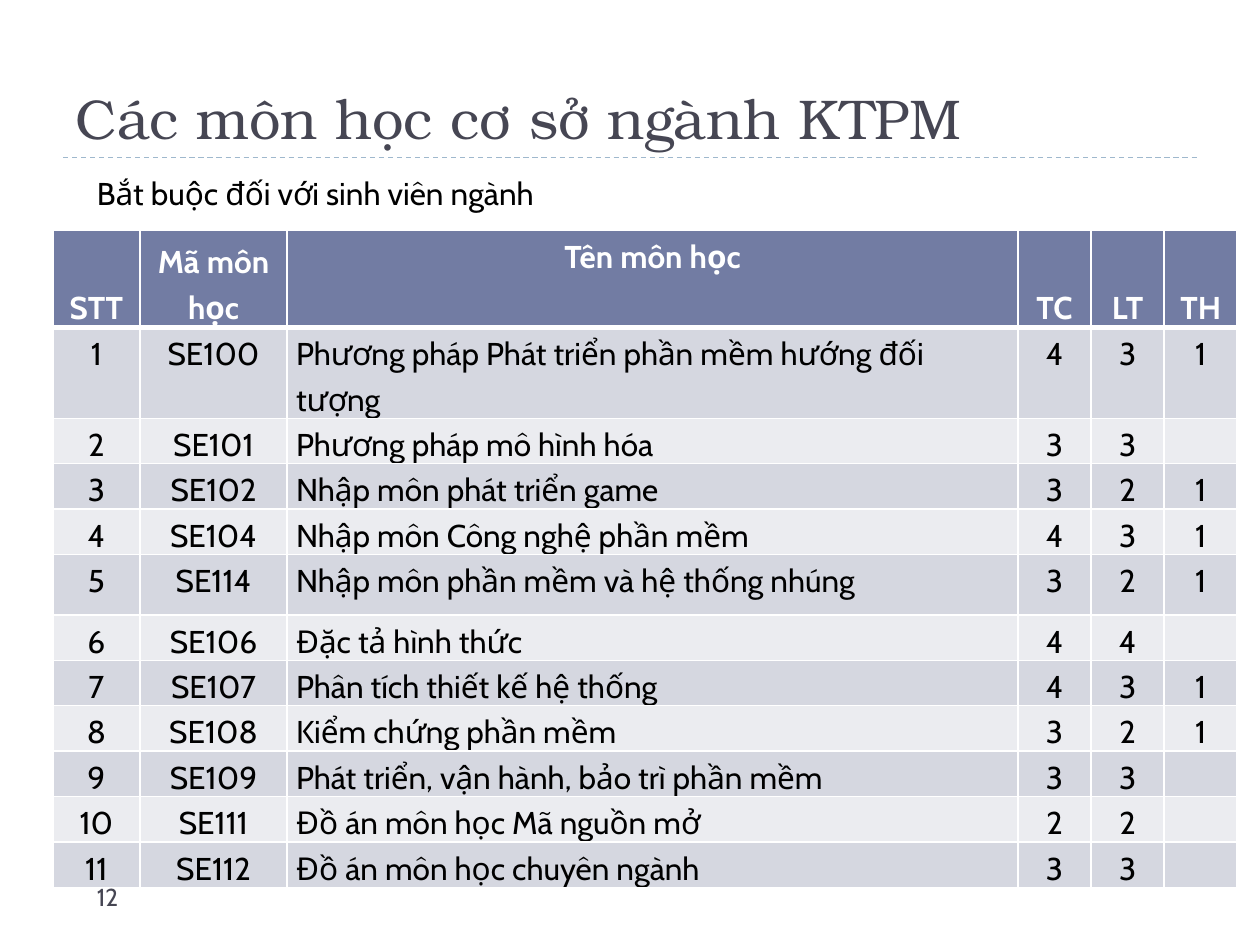
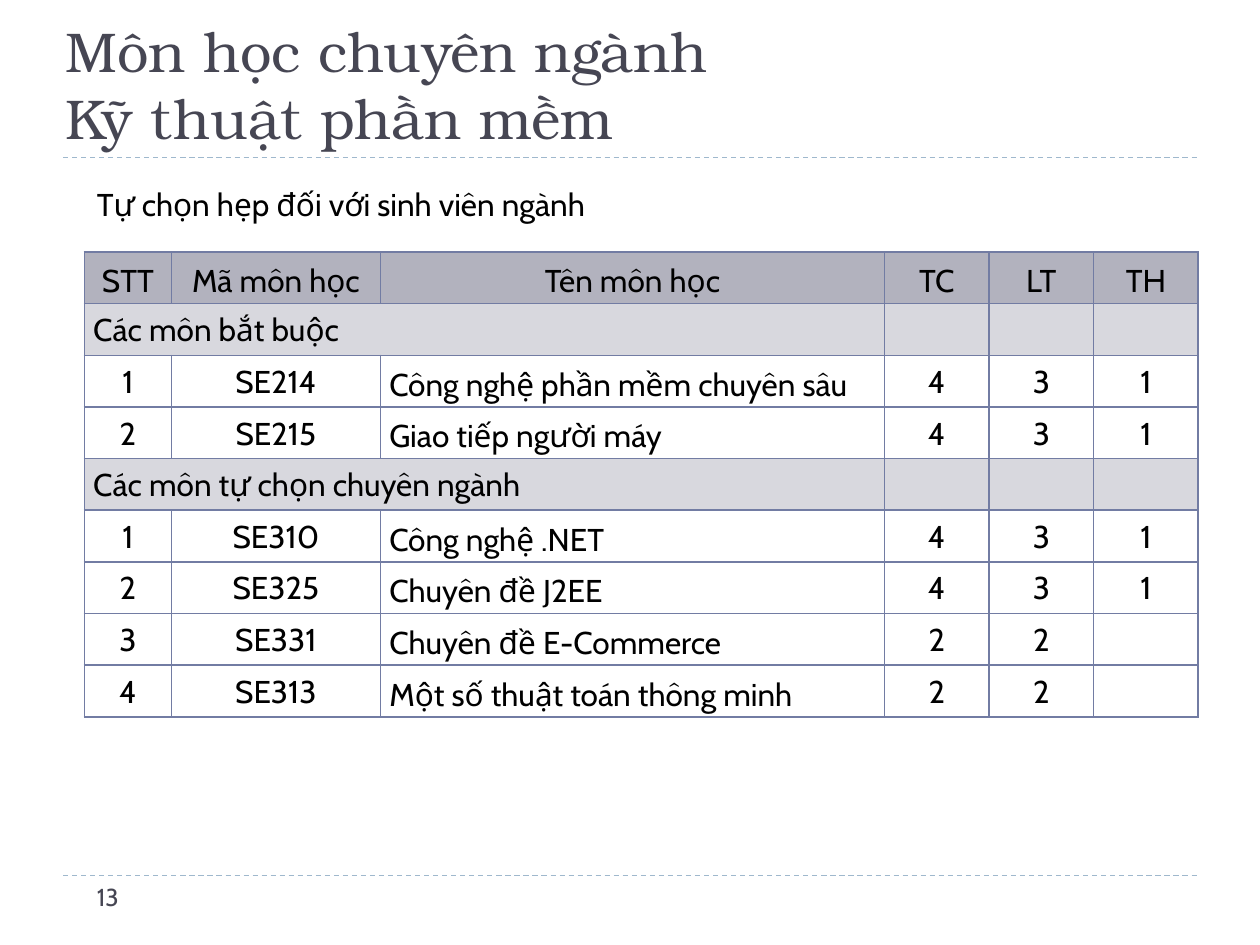
import pptx
import pptx.dml.color
import pptx.enum.dml
import pptx.enum.text
import pptx.oxml
import pptx.oxml.ns
import pptx.util
from lxml import etree

Inches = pptx.util.Inches
Pt = pptx.util.Pt
RGBColor = pptx.dml.color.RGBColor
ANCHOR = pptx.enum.text.MSO_ANCHOR
ALIGN = pptx.enum.text.PP_ALIGN
AUTO_SIZE = pptx.enum.text.MSO_AUTO_SIZE

BLACK = RGBColor(0x00, 0x00, 0x00)
WHITE = RGBColor(0xFF, 0xFF, 0xFF)
SLATE = RGBColor(0x46, 0x46, 0x53)
RULE_BLUE = RGBColor(0x9F, 0xB8, 0xCD)
INDIGO = RGBColor(0x72, 0x7C, 0xA3)
DARK_BAND = RGBColor(0xD5, 0xD7, 0xE0)
LIGHT_BAND = RGBColor(0xEB, 0xEC, 0xF0)
HEADER_GREY = RGBColor(0xB2, 0xB2, 0xBE)
SECTION_GREY = RGBColor(0xD8, 0xD8, 0xDE)

TITLE_FONT = "TeX Gyre Bonum"
BODY_FONT = "Cabin"
TITLE_ONLY = 5
NAME_COLUMN = 2

HEADINGS = ("STT", "Mã môn học", "Tên môn học", "TC", "LT", "TH")

CORE_COURSES = [
    ("SE100", "Phương pháp Phát triển phần mềm hướng đối tượng", 4, 3, 1),
    ("SE101", "Phương pháp mô hình hóa", 3, 3, ""),
    ("SE102", "Nhập môn phát triển game", 3, 2, 1),
    ("SE104", "Nhập môn Công nghệ phần mềm", 4, 3, 1),
    ("SE114", "Nhập môn phần mềm và hệ thống nhúng", 3, 2, 1),
    ("SE106", "Đặc tả hình thức", 4, 4, ""),
    ("SE107", "Phân tích thiết kế hệ thống", 4, 3, 1),
    ("SE108", "Kiểm chứng phần mềm", 3, 2, 1),
    ("SE109", "Phát triển, vận hành, bảo trì phần mềm", 3, 3, ""),
    ("SE111", "Đồ án môn học Mã nguồn mở", 2, 2, ""),
    ("SE112", "Đồ án môn học chuyên ngành", 3, 3, ""),
]

MAJOR_SECTIONS = {
    "Các môn bắt buộc": [
        ("SE214", "Công nghệ phần mềm chuyên sâu", 4, 3, 1),
        ("SE215", "Giao tiếp người máy", 4, 3, 1),
    ],
    "Các môn tự chọn chuyên ngành": [
        ("SE310", "Công nghệ .NET", 4, 3, 1),
        ("SE325", "Chuyên đề J2EE", 4, 3, 1),
        ("SE331", "Chuyên đề E-Commerce", 2, 2, ""),
        ("SE313", "Một số thuật toán thông minh", 2, 2, ""),
    ],
}


def style_paragraph(paragraph, font_name, size, color, bold=False):
    font = paragraph.font
    font.name = font_name
    font.size = Pt(size)
    font.color.rgb = color
    font.bold = bold


def add_rule(slide, y):
    """Draw a dashed line across the slide at height y."""
    rule = slide.shapes.add_connector(
        pptx.enum.shapes.MSO_CONNECTOR.STRAIGHT,
        Inches(0.5), Inches(y), Inches(9.5), Inches(y))
    rule.line.color.rgb = RULE_BLUE
    rule.line.width = Pt(0.75)
    rule.line.dash_style = pptx.enum.dml.MSO_LINE.DASH
    properties = rule._element.spPr
    etree.SubElement(properties, pptx.oxml.ns.qn("a:effectLst"))


def add_label(slide, box, text, size, color):
    label = slide.shapes.add_textbox(*map(Inches, box))
    frame = label.text_frame
    frame.word_wrap = True
    frame.text = text
    style_paragraph(frame.paragraphs[0], BODY_FONT, size, color)
    return frame


def set_title(slide, box, text):
    title = slide.shapes.title
    title.left, title.top, title.width, title.height = map(Inches, box)
    frame = title.text_frame
    frame.text = text
    frame.auto_size = AUTO_SIZE.NONE
    frame.vertical_anchor = ANCHOR.BOTTOM
    paragraph = frame.paragraphs[0]
    paragraph.alignment = ALIGN.LEFT
    style_paragraph(paragraph, TITLE_FONT, 32, SLATE)


def add_course_slide(presentation, number, title_box, title, subtitle_box, subtitle):
    """Add a slide with the shared rules, title, subtitle and page number."""
    slide = presentation.slides.add_slide(presentation.slide_layouts[TITLE_ONLY])
    for y in (6.95, 1.25):
        add_rule(slide, y)
    set_title(slide, title_box, title)
    frame = add_label(slide, subtitle_box, subtitle, 18, BLACK)
    frame.auto_size = AUTO_SIZE.SHAPE_TO_FIT_TEXT
    return slide


def add_page_number(slide, number):
    add_label(slide, (0.67, 6.95, 2.17, 0.4), str(number), 14, SLATE)


def set_borders(cell, color, top=1, bottom=1):
    properties = cell._tc.get_or_add_tcPr()
    for side, width in (("L", 1), ("R", 1), ("T", top), ("B", bottom)):
        properties.append(pptx.oxml.parse_xml(
            f'<a:ln{side} {pptx.oxml.ns.nsdecls("a")} w="{Pt(width)}">'
            f'<a:solidFill><a:srgbClr val="{color}"/></a:solidFill></a:ln{side}>'))


def fill_cell(cell, value, fill, color=BLACK, bold=False, align=ALIGN.CENTER,
              anchor=ANCHOR.TOP):
    cell.margin_left = cell.margin_right = Inches(0.07)
    cell.margin_top = cell.margin_bottom = 0
    cell.vertical_anchor = anchor
    if fill is None:
        cell.fill.background()
    else:
        cell.fill.solid()
        cell.fill.fore_color.rgb = fill
    cell.text = str(value)
    paragraph = cell.text_frame.paragraphs[0]
    paragraph.alignment = align
    paragraph.line_spacing = 1.2
    style_paragraph(paragraph, BODY_FONT, 18, color, bold)


def add_plain_table(slide, left, top, column_widths, row_heights):
    """Add a table without the banding and header of its style."""
    table = slide.shapes.add_table(
        len(row_heights), len(column_widths), Inches(left), Inches(top),
        Inches(sum(column_widths)), Inches(sum(row_heights))).table
    table.first_row = table.horz_banding = False
    for column, width in zip(table.columns, column_widths):
        column.width = Inches(width)
    for row, height in zip(table.rows, row_heights):
        row.height = Inches(height)
    return table


def column_alignment(column):
    return ALIGN.LEFT if column == NAME_COLUMN else ALIGN.CENTER


def add_core_table(slide, left, top):
    heights = [0.77] + [0.36] * len(CORE_COURSES)
    heights[5] = 0.48
    table = add_plain_table(slide, left, top, [0.69, 1.17, 5.8] + [0.58] * 3, heights)
    for column, heading in enumerate(HEADINGS):
        cell = table.cell(0, column)
        set_borders(cell, WHITE, bottom=3)
        fill_cell(cell, heading, INDIGO, WHITE, bold=True,
                  anchor=ANCHOR.TOP if column == NAME_COLUMN else ANCHOR.BOTTOM)
    for number, course in enumerate(CORE_COURSES, 1):
        for column, value in enumerate((number, *course)):
            cell = table.cell(number, column)
            set_borders(cell, WHITE, top=3 if number == 1 else 1)
            fill_cell(cell, value, DARK_BAND if number % 2 else LIGHT_BAND,
                      align=column_alignment(column))


def add_major_table(slide, left, top):
    row_count = 1 + sum(1 + len(courses) for courses in MAJOR_SECTIONS.values())
    table = add_plain_table(slide, left, top, [0.69, 1.66, 4] + [0.83] * 3,
                            [0.41] * row_count)
    for cell in table.iter_cells():
        set_borders(cell, INDIGO)
    for column, heading in enumerate(HEADINGS):
        fill_cell(table.cell(0, column), heading, HEADER_GREY, anchor=ANCHOR.MIDDLE)
    row = 1
    for section, courses in MAJOR_SECTIONS.items():
        for column in range(len(HEADINGS)):
            fill_cell(table.cell(row, column), "" if column else section,
                      SECTION_GREY, align=ALIGN.LEFT)
        table.cell(row, 0).merge(table.cell(row, NAME_COLUMN))
        for number, course in enumerate(courses, 1):
            for column, value in enumerate((number, *course)):
                fill_cell(table.cell(row + number, column), value, None,
                          align=column_alignment(column),
                          anchor=ANCHOR.MIDDLE if column == NAME_COLUMN else ANCHOR.TOP)
        row += 1 + len(courses)


def main():
    presentation = pptx.Presentation()
    presentation.slide_width = Inches(10)
    presentation.slide_height = Inches(7.5)

    core_slide = add_course_slide(
        presentation, 12, (0.5, 0.17, 9, 1.08), "Các môn học cơ sở ngành KTPM",
        (0.67, 1.33, 9.17, 0.4), "Bắt buộc đối với sinh viên ngành")
    add_core_table(core_slide, 0.42, 1.83)
    add_page_number(core_slide, 12)

    major_slide = add_course_slide(
        presentation, 13, (0.42, 0, 9.25, 1.25),
        "Môn học chuyên ngành \vKỹ thuật phần mềm",
        (0.67, 1.42, 8.83, 0.42), "Tự chọn hẹp đối với sinh viên ngành")
    add_major_table(major_slide, 0.67, 2)
    add_page_number(major_slide, 13)

    presentation.save("out.pptx")


if __name__ == "__main__":
    main()
